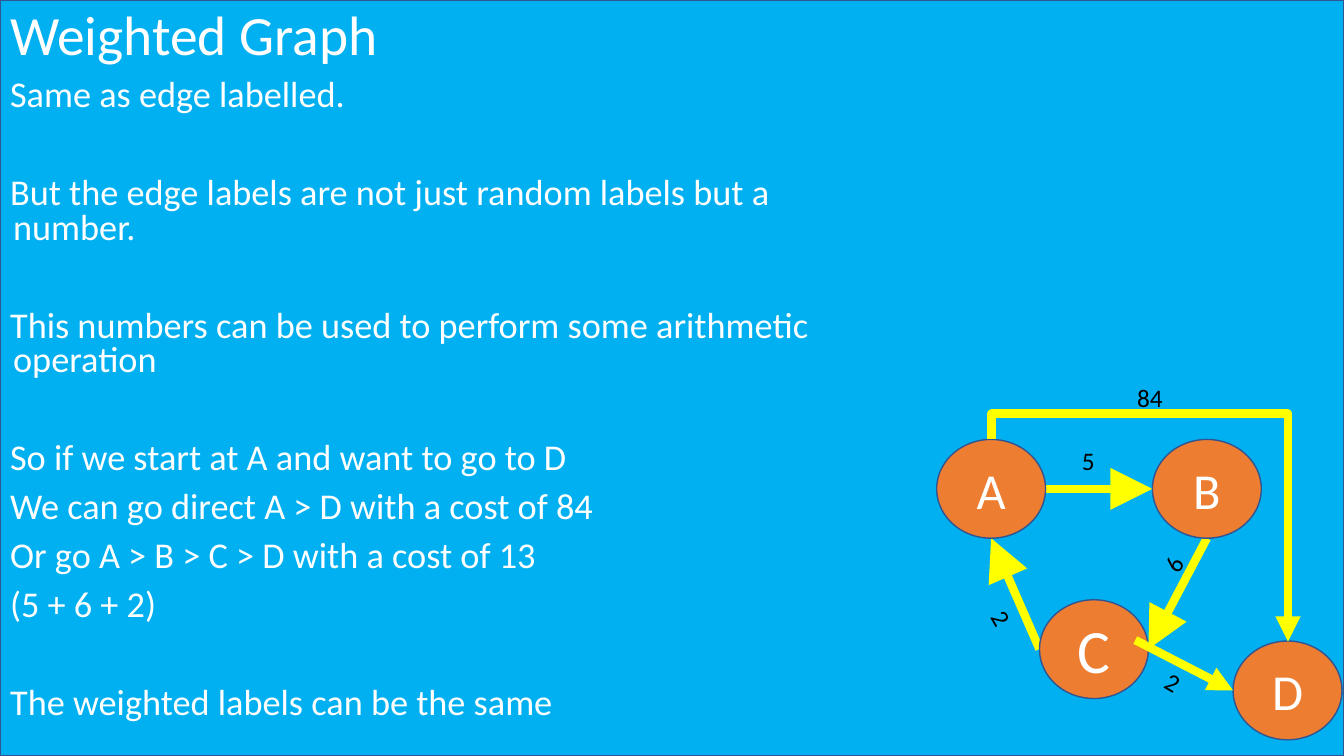
"""Build the Weighted Graph slide: explanation on the left, graph on the right."""
from lxml import etree
from pptx import Presentation
from pptx.dml.color import RGBColor
from pptx.enum.shapes import MSO_CONNECTOR, MSO_SHAPE
from pptx.enum.text import MSO_ANCHOR, MSO_AUTO_SIZE, PP_ALIGN
from pptx.oxml.ns import qn
from pptx.util import Inches, Pt

STRAIGHT, ELBOW = MSO_CONNECTOR.STRAIGHT, MSO_CONNECTOR.ELBOW
RECT, OVAL = MSO_SHAPE.RECTANGLE, MSO_SHAPE.OVAL
MIDDLE, TOP = MSO_ANCHOR.MIDDLE, MSO_ANCHOR.TOP
LEFT, CENTER = PP_ALIGN.LEFT, PP_ALIGN.CENTER
NO_FIT = MSO_AUTO_SIZE.NONE

SKY = RGBColor(0x00, 0xB0, 0xF0)
NAVY = RGBColor(0x32, 0x54, 0x91)
ORANGE = RGBColor(0xED, 0x7D, 0x31)
YELLOW = RGBColor(0xFF, 0xFF, 0x00)
WHITE = RGBColor(0xFF, 0xFF, 0xFF)
BLACK = RGBColor(0x00, 0x00, 0x00)

NODE_W, NODE_H = 1.08, 0.98
LABEL_W, LABEL_H = 0.93, 0.4


def format_text(p, size, color, align):
    p.alignment = align
    for r in p.runs:
        r.font.name = "Calibri"
        r.font.size = Pt(size)
        r.font.color.rgb = color


def add_edge(kind, x1, y1, x2, y2, head):
    edge = s.shapes.add_connector(kind, Inches(x1), Inches(y1), Inches(x2), Inches(y2))
    edge.line.color.rgb = YELLOW
    edge.line.width = Pt(6)
    etree.SubElement(edge.line._get_or_add_ln(), qn("a:tailEnd"), type="triangle", w=head, len=head)
    etree.SubElement(edge.element.spPr, qn("a:effectLst"))
    return edge


prs = Presentation()
prs.slide_width, prs.slide_height = Inches(13.33), Inches(7.5)
s = prs.slides.add_slide(prs.slide_layouts[1])

backdrop = s.shapes.add_shape(RECT, 0, 0, prs.slide_width, prs.slide_height)
s.shapes.element.insert(2, backdrop.element)

title, body = s.placeholders
title.left, title.top, title.width, title.height = 0, 0, prs.slide_width, Inches(0.74)
tf = title.text_frame
tf.text = "Weighted Graph"
tf.vertical_anchor = MIDDLE
tf.auto_size = NO_FIT
tf.paragraphs[0].line_spacing = 0.9
format_text(tf.paragraphs[0], 39.6, WHITE, LEFT)

body.left, body.top, body.width, body.height = 0, Inches(0.74), Inches(8.96), Inches(6.76)
tf = body.text_frame
tf.vertical_anchor = TOP
tf.auto_size = NO_FIT
lines = [
    ("Same as edge labelled.", 10),
    ("But the edge labels are not just random labels but a number.", 45),
    ("This numbers can be used to perform some arithmetic operation", 45),
    ("So if we start at A and want to go to D", 45),
    ("We can go direct A > D with a cost of 84", 10),
    ("Or go A > B > C > D with a cost of 13", 10),
    ("(5 + 6 + 2)", 10),
    ("The weighted labels can be the same", 45),
]
for i, (text, gap) in enumerate(lines):
    p = tf.paragraphs[0] if i == 0 else tf.add_paragraph()
    p.text = text
    p.line_spacing = 0.8
    p.space_before = Pt(gap)
    format_text(p, 25.9, WHITE, LEFT)
    pPr = p._p.get_or_add_pPr()
    pPr.set("marL", str(Inches(0.03)))
    pPr.set("indent", str(Inches(-0.03)))
    etree.SubElement(pPr, qn("a:buNone"))

add_edge(STRAIGHT, 10.37, 4.85, 11.43, 4.85, "lg")
add_edge(STRAIGHT, 10.31, 6.44, 9.83, 5.34, "lg")
add_edge(STRAIGHT, 11.97, 5.34, 11.39, 6.44, "lg")

nodes = []
for name, x, y, size in [("A", 9.29, 4.36, 36), ("B", 11.43, 4.36, 36),
                         ("D", 12.23, 6.36, 36), ("C", 10.31, 5.95, 44)]:
    node = s.shapes.add_shape(OVAL, Inches(x), Inches(y), Inches(NODE_W), Inches(NODE_H))
    node.text_frame.text = name
    node.text_frame.vertical_anchor = MIDDLE
    format_text(node.text_frame.paragraphs[0], size, WHITE, CENTER)
    nodes.append(node)

for sp, color in [(backdrop, SKY)] + [(node, ORANGE) for node in nodes]:
    sp.shadow.inherit = False
    sp.fill.solid()
    sp.fill.fore_color.rgb = color
    sp.line.color.rgb = NAVY
    sp.line.width = Pt(1)

add_edge(STRAIGHT, 11.26, 6.35, 12.23, 6.85, "med")
direct = add_edge(ELBOW, 12.31, 3.89, 10.3, 6.83, "med")
direct.element.spPr.find(qn("a:xfrm")).set("rot", str(270 * 60000))
adjust = direct.element.spPr.find(qn("a:prstGeom")).get_or_add_avLst()
etree.SubElement(adjust, qn("a:gd"), name="adj1", fmla="val -12500")

for weight, x, y, angle in [("5", 10.33, 4.37, 0), ("6", 11.17, 5.4, 297.2), ("2", 11.17, 6.57, 30),
                            ("2", 9.47, 5.93, 60), ("84", 10.94, 3.74, 0)]:
    label = s.shapes.add_textbox(Inches(x), Inches(y), Inches(LABEL_W), Inches(LABEL_H))
    label.rotation = angle
    label.text_frame.word_wrap = True
    label.text_frame.text = weight
    format_text(label.text_frame.paragraphs[0], 18, BLACK, CENTER)

prs.save("out.pptx")
